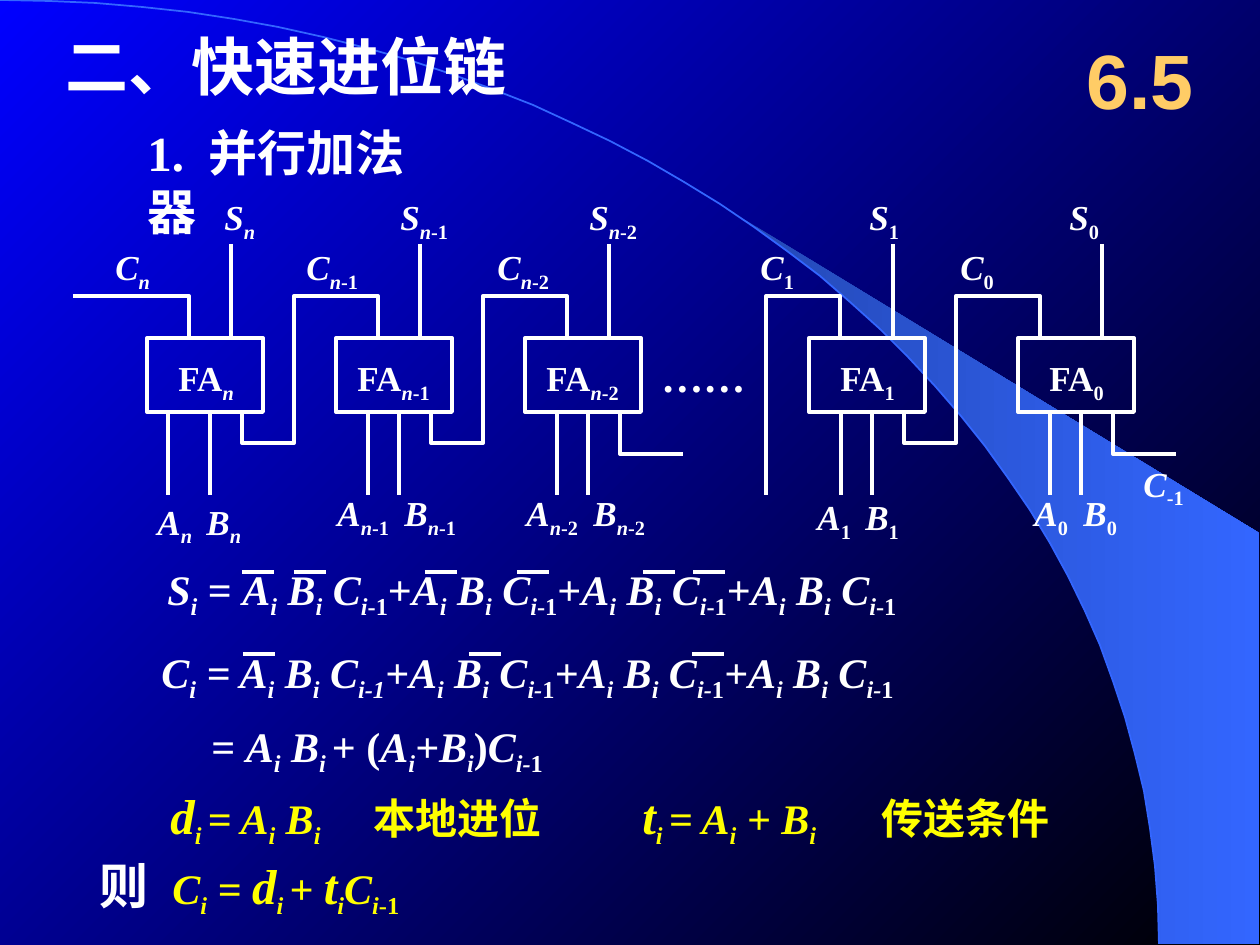
from dataclasses import dataclass

from lxml.etree import SubElement
from pptx import Presentation
from pptx.dml.color import RGBColor
from pptx.enum.shapes import MSO_CONNECTOR, MSO_SHAPE
from pptx.enum.text import MSO_ANCHOR, PP_ALIGN
from pptx.oxml.ns import qn
from pptx.util import Pt

EMU_PER_PIXEL = 914400 / 126


@dataclass(frozen=True)
class Theme:
    white: str = "FFFFFF"
    yellow: str = "FFFF00"
    gold: str = "FFCC66"
    arc: str = "3366FF"
    crescent: tuple = ("2449B6", "3366FF")
    background: tuple = ("0000FF", "000000")
    font: str = "Times New Roman"
    number_font: str = "Arial"
    number: int = 44
    heading: int = 36
    subheading: int = 28
    formula: int = 24
    label: int = 20
    wire: float = 2.25


@dataclass(frozen=True)
class Adder:
    index: str
    left: int
    name: int      # label offsets from the left edge of the box
    sum: int
    carry: int
    a: int
    b: int
    inputs_top: int
    wires: tuple = (32, 63)
    linked: bool = True


THEME = Theme()
ADDERS = [
    Adder("*n*", 147, 19, 65, -44, -2, 47, 494, wires=(21, 63)),
    Adder("*n*-1", 336, 9, 52, -42, -11, 56, 485),
    Adder("*n*-2", 525, 9, 52, -40, -11, 56, 485, linked=False),
    Adder("1", 809, 19, 48, -61, -4, 44, 489),
    Adder("0", 1018, 19, 39, -70, 4, 53, 485, linked=False),
]


def px(value):
    return round(value * EMU_PER_PIXEL)


def rgb(value):
    return RGBColor.from_string(value)


def fill_gradient(fill, colors, angle):
    fill.gradient()
    fill.gradient_angle = angle
    for stop, color in zip(fill.gradient_stops, colors):
        stop.color.rgb = rgb(color)


def parse(markup):
    """Yield text and marks: *italic*, {subscript}, [large], <yellow>."""
    marks, text = set(), ""
    opening, closing = dict(zip("{[<", "sly")), dict(zip("}]>", "sly"))
    for char in markup:
        if char != "*" and char not in opening and char not in closing:
            text += char
            continue
        if text:
            yield text, frozenset(marks)
            text = ""
        marks ^= {opening.get(char) or closing.get(char) or "i"}
    if text:
        yield text, frozenset(marks)


def write(shape, markup, size=THEME.formula, color=THEME.white, font=THEME.font,
          align=PP_ALIGN.LEFT, anchor=MSO_ANCHOR.TOP, tab=None):
    frame = shape.text_frame
    frame.word_wrap = True
    frame.vertical_anchor = anchor
    paragraph = frame.paragraphs[0]
    paragraph.alignment = align
    if tab:
        tabs = SubElement(paragraph._p.get_or_add_pPr(), qn("a:tabLst"))
        SubElement(tabs, qn("a:tab"), pos=str(px(tab)), algn="l")
    for text, marks in parse(markup):
        run = paragraph.add_run()
        run.text = text
        run.font.name = font
        run.font.bold = True
        run.font.italic = "i" in marks
        run.font.size = Pt(THEME.subheading if "l" in marks else size)
        run.font.color.rgb = rgb(THEME.yellow if "y" in marks else color)
        if "s" in marks:
            run._r.get_or_add_rPr().set("baseline", "-25000")


def add_text(slide, left, top, width, height, markup, **style):
    box = slide.shapes.add_textbox(px(left), px(top), px(width), px(height))
    write(box, markup, **style)


def set_line(shape, color=THEME.white, width=THEME.wire):
    shape.line.color.rgb = rgb(color)
    shape.line.width = Pt(width)


def add_line(slide, x1, y1, x2, y2):
    line = slide.shapes.add_connector(
        MSO_CONNECTOR.STRAIGHT, px(x1), px(y1), px(x2), px(y2))
    set_line(line)
    SubElement(line._element.spPr, qn("a:effectLst"))


def add_outline(slide, points, close=False):
    builder = slide.shapes.build_freeform(*points[0], scale=EMU_PER_PIXEL)
    builder.add_line_segments(points[1:], close=close)
    shape = builder.convert_to_shape()
    shape.shadow.inherit = False
    shape.fill.background()
    set_line(shape)
    return shape


def draw_backdrop(slide, width, height):
    fill_gradient(slide.background.fill, THEME.background, 315)
    # Quarter arc as a cubic curve from the top left corner
    radius_x, radius_y, steps = width - 101, height - 1, 40
    arc = []
    for step in range(steps + 1):
        t = step / steps
        u = 1 - t
        x = 3 * u * u * t * 640 + (3 * u * t * t + t ** 3) * radius_x
        y = 3 * u * t * t * 422 + t ** 3 * radius_y
        arc.append((round(x), round(y)))
    # Crescent between the arc and the right edge
    tip = (742, 218)
    edge = [(width - 1, radius_y), (width - 1, 533), tip]
    crescent = add_outline(slide, [p for p in arc if p[0] > tip[0]] + edge, close=True)
    fill_gradient(crescent.fill, THEME.crescent, 0)
    crescent.line.fill.background()
    set_line(add_outline(slide, arc), THEME.arc, 1)


def draw_headings(slide):
    title = slide.shapes.title
    title.left, title.top, title.width, title.height = map(px, (53, 21, 490, 88))
    write(title, "二、快速进位链", size=THEME.heading)
    # Bring the title in front of the backdrop
    slide.shapes._spTree.append(title._element)
    add_text(slide, 135, 116, 300, 72, "1.\t并行加法器", size=THEME.subheading, tab=61)
    add_text(slide, 1061, 21, 158, 116, "6.5", size=THEME.number, color=THEME.gold,
             font=THEME.number_font, align=PP_ALIGN.CENTER, anchor=MSO_ANCHOR.MIDDLE)


def draw_adder(slide, adder, top=338, width=116, height=74):
    left, bottom = adder.left, top + height
    box = slide.shapes.add_shape(
        MSO_SHAPE.RECTANGLE, px(left), px(top), px(width), px(height))
    box.shadow.inherit = False
    box.fill.background()
    set_line(box)
    # Sum and input wires
    add_line(slide, left + 84, top - 94, left + 84, top)
    for wire in adder.wires:
        add_line(slide, left + wire, bottom, left + wire, bottom + 83)
    # Carry wire to the next adder, or a short stub
    if adder.linked:
        steps = [(95, bottom), (95, bottom + 31), (147, bottom + 31),
                 (147, top - 42), (231, top - 42), (231, top)]
    else:
        steps = [(95, bottom), (95, bottom + 42), (158, bottom + 42)]
    add_outline(slide, [(left + x, y) for x, y in steps])
    # Labels
    label_width = 84 if "-" in adder.index else 62
    labels = [("FA", adder.name, top + 12, label_width + 22),
              ("*S*", adder.sum, top - 149, label_width),
              ("*C*", adder.carry, top - 99, label_width),
              ("*A*", adder.a, adder.inputs_top, label_width),
              ("*B*", adder.b, adder.inputs_top, label_width)]
    for name, x, y, wide in labels:
        add_text(slide, left + x, y, wide, 54, f"{name}{{{adder.index}}}",
                 size=THEME.label)


def draw_adder_chain(slide):
    for adder in ADDERS:
        draw_adder(slide, adder)
    add_outline(slide, [(73, 296), (189, 296), (189, 338)])
    add_outline(slide, [(840, 338), (840, 296), (766, 296), (766, 495)])
    add_text(slide, 649, 344, 120, 63, "……")
    add_text(slide, 1131, 456, 72, 54, "*C*{-1}", size=THEME.label)


def draw_formula(slide, left, top, width, markup, bars=(), bar_top=0, **style):
    add_text(slide, left, top, width, 63, markup, **style)
    for x in bars:
        add_line(slide, left + x, top + bar_top, left + x + 32, top + bar_top)


def draw_formulas(slide):
    sum_term = "*A{i} B{i} C{i}*{-1}"
    carry_term = "A{i} B{i} C{i-*1*}"
    draw_formula(slide, 155, 557, 781, "*S{i}* = " + "+".join([sum_term] * 4),
                 bars=(87, 139, 270, 362, 488, 538), bar_top=15)
    draw_formula(slide, 149, 640, 786,
                 "*C{i} = A{i} B{i} C{i-1}+" + "+".join([carry_term] * 3) + "*",
                 bars=(94, 320, 543), bar_top=14)
    draw_formula(slide, 199, 714, 367, "= *A{i} B{i }*+ (*A{i}+B{i}*)*C{i-*1*}*")
    draw_formula(slide, 158, 779, 441, "*[d]{i }= A{i} B{i}*\t本地进位",
                 color=THEME.yellow, tab=203)
    draw_formula(slide, 630, 779, 483, "*[t]{i }= A{i} + B{i}*\t传送条件",
                 color=THEME.yellow, tab=239)
    draw_formula(slide, 87, 849, 333, "[则]\t<*C{i} = [d]{i }+ [t]{i}C{i}*{-1}>", tab=73)


presentation = Presentation()
presentation.slide_width, presentation.slide_height = px(1260), px(945)
slide = presentation.slides.add_slide(presentation.slide_layouts[5])
draw_backdrop(slide, 1260, 945)
draw_headings(slide)
draw_adder_chain(slide)
draw_formulas(slide)
presentation.save("out.pptx")
